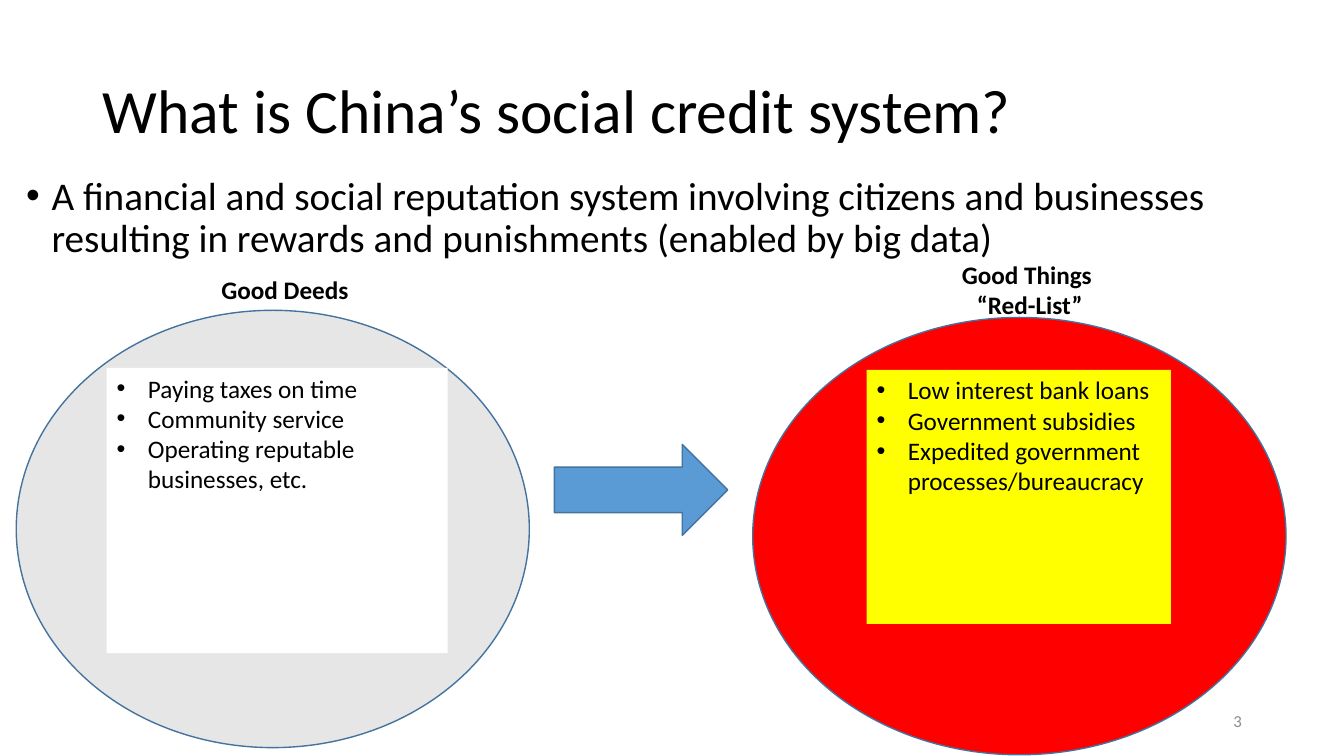
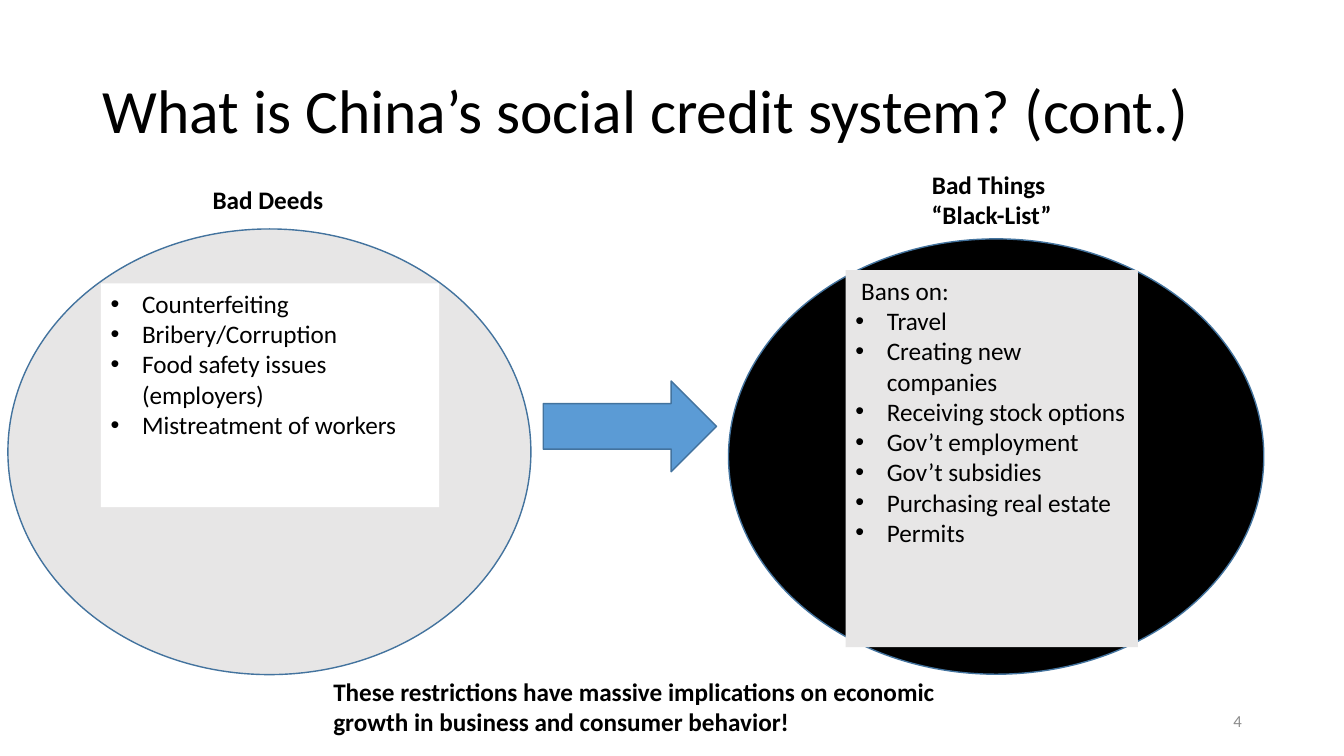
from dataclasses import dataclass
from typing import NamedTuple

from lxml.etree import SubElement
from pptx import Presentation
from pptx.dml.color import RGBColor
from pptx.enum.shapes import MSO_SHAPE as Preset
from pptx.enum.text import MSO_ANCHOR as Anchor, PP_ALIGN as Align
from pptx.oxml.ns import qn
from pptx.util import Cm, Pt


@dataclass(frozen=True)
class Theme:
    font: str = "Calibri"
    ink: str = "000000"
    outline: str = "43739E"
    arrow: str = "5B9BD5"
    grey: str = "E7E6E6"
    white: str = "FFFFFF"
    red: str = "FF0000"
    yellow: str = "FFFF00"
    number: str = "8C8C8C"
    title_size: int = 44
    lead_size: int = 28
    text_size: int = 18
    number_size: int = 12


THEME = Theme()


class Area(NamedTuple):
    left: float
    top: float
    width: float
    height: float

    def lengths(self):
        return [Cm(value) for value in self]


class Style(NamedTuple):
    size: int = THEME.text_size
    color: str = THEME.ink
    bold: bool = False
    align: Align = Align.LEFT
    anchor: Anchor = Anchor.TOP
    line_spacing: float = 1.0
    space_before: int = 0


TITLE = Style(THEME.title_size, anchor=Anchor.MIDDLE, line_spacing=0.9)
LEAD = Style(THEME.lead_size, line_spacing=0.9, space_before=10)
ITEM = Style()
NOTE = Style(bold=True)
HEADING = Style(bold=True, align=Align.CENTER)
NUMBER = Style(THEME.number_size, THEME.number, align=Align.RIGHT, anchor=Anchor.MIDDLE)

TITLE_AREA = Area(2.34, 1.02, 29.21, 3.68)
NUMBER_AREA = Area(23.93, 17.65, 7.62, 1.02)
LEAD_INDENT = 0.64
ITEM_INDENT = 0.79
ARROW_SIZE = (4.37, 2.29)


@dataclass(frozen=True)
class Group:
    heading: str
    heading_area: Area
    heading_style: Style
    oval_area: Area
    oval_fill: str
    panel_area: Area
    panel_fill: str
    items: tuple[str, ...]
    intro: str = ""


@dataclass(frozen=True)
class Page:
    number: int
    title: str
    deeds: Group
    results: Group
    arrow_at: tuple[float, float]
    lead: str = ""
    note: str = ""


PAGES = (
    Page(
        number=3,
        title="What is China’s social credit system?",
        lead="A financial and social reputation system involving citizens and businesses "
             "resulting in rewards and punishments (enabled by big data)",
        deeds=Group(
            "Good Deeds", Area(5.33, 6.78, 3.81, 1.02), NOTE,
            Area(0.41, 7.82, 12.93, 11.02), THEME.grey,
            Area(2.69, 9.27, 8.59, 7.19), THEME.white,
            ("Paying taxes on time", "Community service",
             "Operating reputable businesses, etc."),
        ),
        results=Group(
            "Good Things\v “Red-List”", Area(23.95, 6.4, 3.86, 1.8), HEADING,
            Area(18.97, 8, 13.44, 11.02), THEME.red,
            Area(21.84, 9.32, 7.67, 6.4), THEME.yellow,
            ("Low interest bank loans", "Government subsidies",
             "Expedited government processes/bureaucracy"),
        ),
        arrow_at=(13.97, 11.2),
    ),
    Page(
        number=4,
        title="What is China’s social credit system? (cont.)",
        deeds=Group(
            "Bad Deeds", Area(5.11, 4.52, 3.81, 1.02), NOTE,
            Area(0.2, 5.77, 13.18, 11.23), THEME.grey,
            Area(2.54, 7.14, 8.53, 5.64), THEME.white,
            ("Counterfeiting", "Bribery/Corruption",
             "Food safety issues (employers)", "Mistreatment of workers"),
        ),
        results=Group(
            "Bad Things \v“Black-List”", Area(23.06, 4.14, 3.86, 1.8), HEADING,
            Area(18.36, 6.02, 13.49, 10.97), THEME.ink,
            Area(21.31, 6.81, 7.37, 9.5), THEME.grey,
            ("Travel", "Creating new companies", "Receiving stock options",
             "Gov’t employment", "Gov’t subsidies", "Purchasing real estate", "Permits"),
            intro=" Bans on:",
        ),
        arrow_at=(13.69, 9.6),
        note="These restrictions have massive implications on economic growth "
             "in business and consumer behavior!",
    ),
)


def write(frame, text: str, style: Style) -> None:
    frame.word_wrap = True
    frame.vertical_anchor = style.anchor
    frame.text = text
    for para in frame.paragraphs:
        para.alignment = style.align
        para.line_spacing = style.line_spacing
        para.space_before = Pt(style.space_before)
        for span in para.runs:
            span.font.name = THEME.font
            span.font.size = Pt(style.size)
            span.font.bold = style.bold
            span.font.color.rgb = RGBColor.from_string(style.color)


def add_bullet(para, indent: float) -> None:
    properties = para._p.get_or_add_pPr()
    properties.set("marL", str(Cm(indent)))
    properties.set("indent", str(-Cm(indent)))
    SubElement(properties, qn("a:buFont"), typeface="Arial")
    SubElement(properties, qn("a:buChar"), char="•")


def add_text(slide, area: Area, text: str, style: Style):
    box = slide.shapes.add_textbox(*area.lengths())
    write(box.text_frame, text, style)
    return box


def add_figure(slide, preset: Preset, area: Area, fill: str, outlined: bool = True):
    figure = slide.shapes.add_shape(preset, *area.lengths())
    figure.shadow.inherit = False
    figure.fill.solid()
    figure.fill.fore_color.rgb = RGBColor.from_string(fill)
    if outlined:
        figure.line.color.rgb = RGBColor.from_string(THEME.outline)
        figure.line.width = Pt(1)
    else:
        figure.line.fill.background()
    return figure


def add_group(slide, group: Group) -> None:
    add_figure(slide, Preset.OVAL, group.oval_area, group.oval_fill)
    add_text(slide, group.heading_area, group.heading, group.heading_style)
    panel = add_figure(slide, Preset.RECTANGLE, group.panel_area, group.panel_fill, outlined=False)
    intro = (group.intro,) if group.intro else ()
    write(panel.text_frame, "\n".join(intro + group.items), ITEM)
    for para in panel.text_frame.paragraphs[len(intro):]:
        add_bullet(para, ITEM_INDENT)


def add_page(deck, page: Page) -> None:
    slide = deck.slides.add_slide(deck.slide_layouts[6])
    add_text(slide, TITLE_AREA, page.title, TITLE)
    if page.lead:
        lead = add_text(slide, Area(0.41, 4.32, 32.82, 12.83), page.lead, LEAD)
        add_bullet(lead.text_frame.paragraphs[0], LEAD_INDENT)
    add_group(slide, page.deeds)
    add_figure(slide, Preset.RIGHT_ARROW, Area(*page.arrow_at, *ARROW_SIZE), THEME.arrow)
    add_group(slide, page.results)
    if page.note:
        add_text(slide, Area(8.15, 16.92, 16.94, 1.8), page.note, NOTE)
    add_text(slide, NUMBER_AREA, str(page.number), NUMBER)


def main() -> None:
    deck = Presentation()
    deck.slide_width, deck.slide_height = Cm(33.87), Cm(19.05)
    for page in PAGES:
        add_page(deck, page)
    deck.save("out.pptx")


if __name__ == "__main__":
    main()
